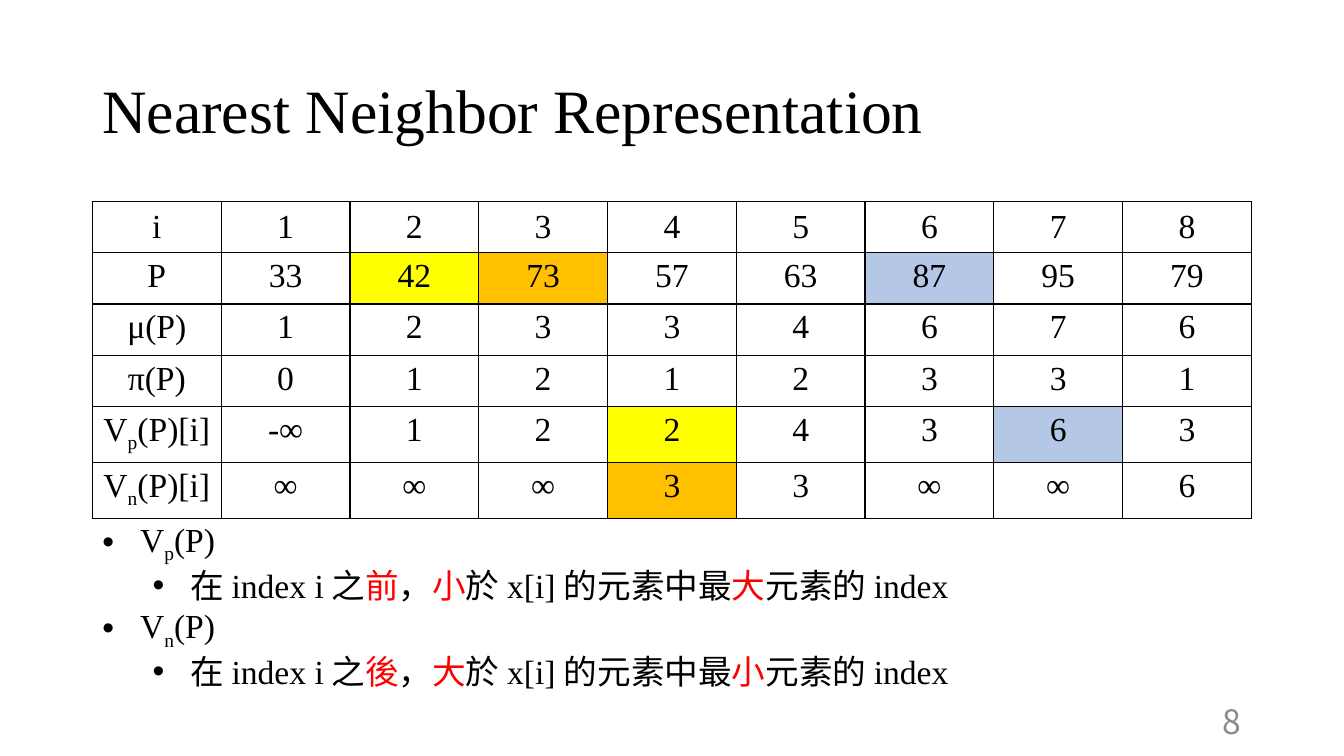
from lxml import etree
from pptx import Presentation
from pptx.dml.color import RGBColor
from pptx.enum.text import MSO_ANCHOR, PP_ALIGN
from pptx.oxml.ns import qn
from pptx.util import Cm, Pt

MIDDLE, TOP = MSO_ANCHOR.MIDDLE, MSO_ANCHOR.TOP
CENTER, RIGHT = PP_ALIGN.CENTER, PP_ALIGN.RIGHT
SERIF, CJK = "Times New Roman", "Noto Sans CJK JP"
COLORS = {
    "black": "000000",
    "red": "FF0000",
    "gray": "8C8C8C",
    "yellow": "FFFF00",
    "orange": "FFC000",
    "blue": "B4C7E7",
}

TABLE_ROWS = [
    ["i", "1", "2", "3", "4", "5", "6", "7", "8"],
    ["P", "33", "42", "73", "57", "63", "87", "95", "79"],
    ["μ(P)", "1", "2", "3", "3", "4", "6", "7", "6"],
    ["π(P)", "0", "1", "2", "1", "2", "3", "3", "1"],
    ["p", "-∞", "1", "2", "2", "4", "3", "6", "3"],
    ["n", "∞", "∞", "∞", "3", "3", "∞", "∞", "6"],
]
VECTOR_ROWS = (4, 5)  # their labels hold only the subscript of V
HIGHLIGHTS = {
    (1, 2): "yellow", (4, 4): "yellow",
    (1, 3): "orange", (5, 4): "orange",
    (1, 6): "blue", (4, 7): "blue",
}
# Subscript, side of i, compared size, chosen extreme
DEFINITIONS = [("p", "前", "小", "大"), ("n", "後", "大", "小")]


def add_text(paragraph, text, font=SERIF, size=24, color="black", baseline=0):
    run = paragraph.add_run()
    run.text = text
    run.font.size = Pt(size)
    run.font.color.rgb = RGBColor.from_string(COLORS[color])
    run.font.name = font
    properties = run.font._element
    etree.SubElement(properties, qn("a:ea"), typeface=font)
    if baseline:
        properties.set("baseline", str(baseline * 1000))


def add_vector_name(paragraph, subscript, ending):
    add_text(paragraph, "V")
    add_text(paragraph, subscript, baseline=-25)
    add_text(paragraph, ending)


def add_text_box(slide, left, top, width, height, anchor=TOP):
    frame = slide.shapes.add_textbox(Cm(left), Cm(top), Cm(width), Cm(height)).text_frame
    frame.word_wrap = True
    frame.vertical_anchor = anchor
    return frame


def add_bullet(paragraph, level):
    paragraph.level = level
    properties = paragraph._p.get_or_add_pPr()
    properties.set("marL", str(Cm(0.95 + 1.27 * level)))
    properties.set("indent", str(Cm(-0.95)))
    etree.SubElement(properties, qn("a:buFont"), typeface="Arial")
    etree.SubElement(properties, qn("a:buChar"), char="•")


def add_borders(cell):
    properties = cell._tc.get_or_add_tcPr()
    for side in ("a:lnL", "a:lnR", "a:lnT", "a:lnB"):
        line = etree.SubElement(properties, qn(side), w=str(Pt(1)))
        fill = etree.SubElement(line, qn("a:solidFill"))
        etree.SubElement(fill, qn("a:srgbClr"), val=COLORS["black"])


def add_neighbor_table(slide):
    width, row_height = Cm(29.21), Cm(1.29)
    row_count, column_count = len(TABLE_ROWS), len(TABLE_ROWS[0])
    table = slide.shapes.add_table(
        row_count, column_count, Cm(2.33), Cm(5.08), width, row_height * row_count
    ).table
    table.first_row = table.horz_banding = False
    for column in table.columns:
        column.width = width // column_count
    for row, values in enumerate(TABLE_ROWS):
        table.rows[row].height = row_height
        for column, value in enumerate(values):
            cell = table.cell(row, column)
            cell.vertical_anchor = MIDDLE if row == 0 else TOP
            add_borders(cell)
            if (row, column) in HIGHLIGHTS:
                cell.fill.solid()
                cell.fill.fore_color.rgb = RGBColor.from_string(COLORS[HIGHLIGHTS[row, column]])
            else:
                cell.fill.background()
            paragraph = cell.text_frame.paragraphs[0]
            paragraph.alignment = CENTER
            if column == 0 and row in VECTOR_ROWS:
                add_vector_name(paragraph, value, "(P)[i]")
            else:
                add_text(paragraph, value)


def add_definitions(slide):
    frame = add_text_box(slide, 2.33, 12.95, 24.28, 4.37)
    for number, (subscript, side, compared, extreme) in enumerate(DEFINITIONS):
        heading = frame.add_paragraph() if number else frame.paragraphs[0]
        add_bullet(heading, 0)
        add_vector_name(heading, subscript, "(P)")

        detail = frame.add_paragraph()
        add_bullet(detail, 1)
        add_text(detail, "在 ", font=CJK)
        add_text(detail, "index i")
        add_text(detail, " 之", font=CJK)
        add_text(detail, side, font=CJK, color="red")
        add_text(detail, "，", font=CJK)
        add_text(detail, compared, font=CJK, color="red")
        add_text(detail, "於 ", font=CJK)
        add_text(detail, "x[i] ")
        add_text(detail, "的元素中最", font=CJK)
        add_text(detail, extreme, font=CJK, color="red")
        add_text(detail, "元素的 ", font=CJK)
        add_text(detail, "index")


def main():
    presentation = Presentation()
    presentation.slide_width, presentation.slide_height = Cm(33.87), Cm(19.05)
    slide = presentation.slides.add_slide(presentation.slide_layouts[6])

    # Title
    title = add_text_box(slide, 2.33, 1.01, 29.21, 3.68, anchor=MIDDLE).paragraphs[0]
    title.line_spacing = 0.9
    add_text(title, "Nearest Neighbor Representation", size=44)

    # Table and definitions
    add_neighbor_table(slide)
    add_definitions(slide)

    # Slide number
    number = add_text_box(slide, 23.92, 17.66, 7.62, 1.01, anchor=MIDDLE).paragraphs[0]
    number.alignment = RIGHT
    add_text(number, "8", font=CJK, color="gray")

    presentation.save("out.pptx")


if __name__ == "__main__":
    main()
